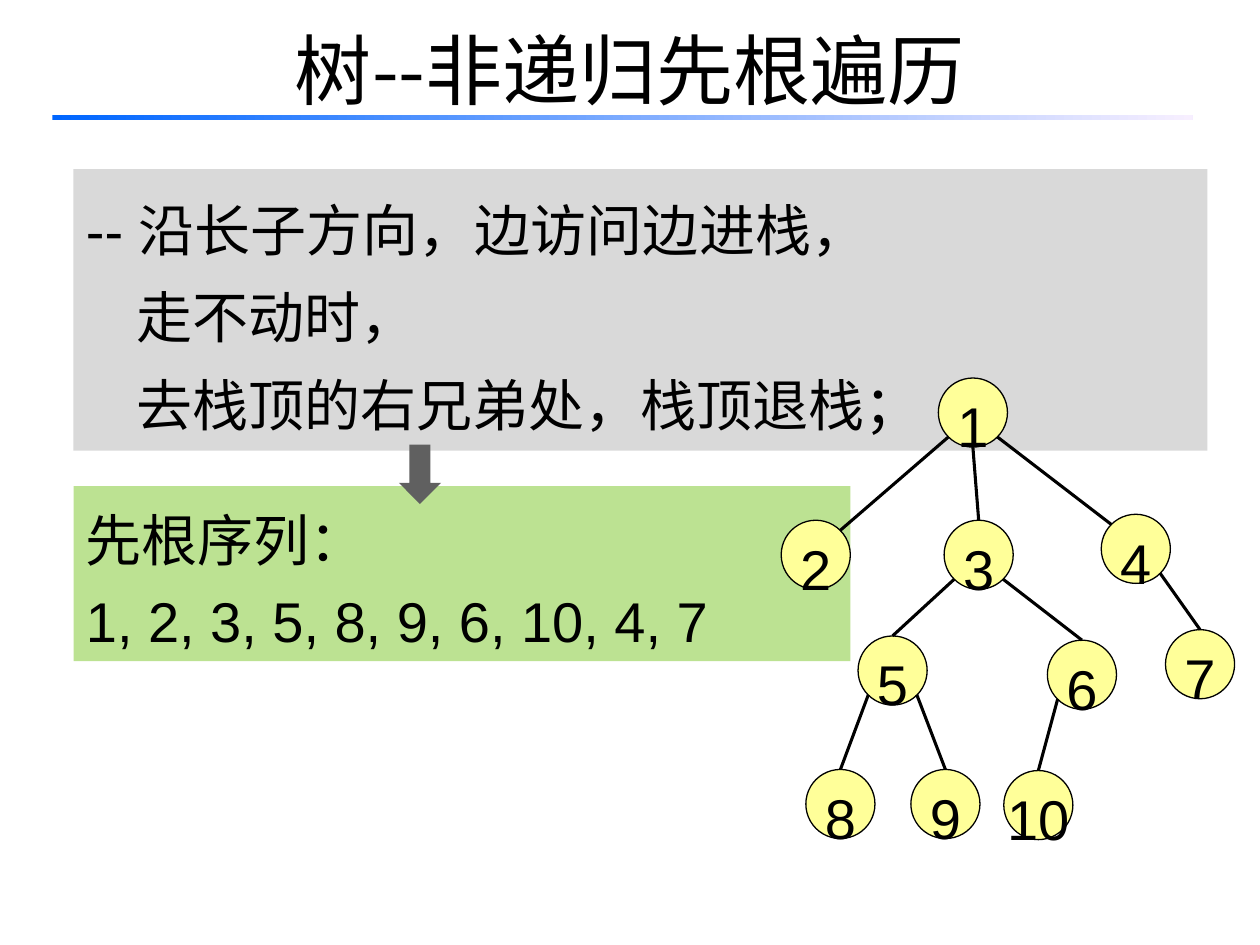
from dataclasses import dataclass

from lxml.etree import SubElement
from pptx import Presentation
from pptx.dml.color import RGBColor
from pptx.enum.shapes import MSO_CONNECTOR, MSO_SHAPE
from pptx.enum.text import MSO_ANCHOR, MSO_AUTO_SIZE, PP_ALIGN
from pptx.oxml.ns import qn
from pptx.util import Pt


@dataclass(frozen=True)
class Theme:
    """Colours, fonts and type sizes."""
    ink: str = "000000"
    gray: str = "D9D9D9"
    green: str = "BCE292"
    arrow: str = "606060"
    node: str = "FFFF99"
    blue: str = "0066FF"
    pale: str = "F7EFFF"
    latin: str = "Arial"
    asian: str = "Noto Sans CJK SC"
    head: int = 44
    body: int = 32


LOOK = Theme()
SIDE = 39.5
NODES = {
    "1": (536.2, 216), "2": (446.4, 297.3), "3": (539.5, 297.3),
    "4": (629.3, 293.9), "5": (490.3, 363.4), "6": (598.5, 365.8),
    "7": (666, 359.8), "8": (460.5, 439.7), "9": (520.5, 439.7),
    "10": (573.6, 440.3),
}
PORTS = {"T": (0.5, 0), "B": (0.5, 1), "TL": (0.15, 0.15),
         "TR": (0.85, 0.15), "BL": (0.15, 0.85), "BR": (0.85, 0.85)}
EDGES = [
    ("1", "BL", "2", "TR"), ("1", "B", "3", "T"), ("1", "BR", "4", "TL"),
    ("3", "BL", "5", "T"), ("3", "BR", "6", "T"), ("4", "BR", "7", "T"),
    ("5", "BL", "8", "T"), ("5", "BR", "9", "T"), ("6", "BL", "10", "T"),
]


def tint(text):
    """Turn a hex string into a colour."""
    return RGBColor.from_string(text)


def points(*sizes):
    """Turn numbers into point lengths."""
    return [Pt(size) for size in sizes]


def apply(item, form):
    """Set each attribute in a dict of format values."""
    for key, value in form.items():
        setattr(item, key, value)


def write(shape, lines, size=LOOK.body, font=LOOK.latin, inset=0,
          frame=None, form=None):
    """Fill a shape with lines, indenting all after the first."""
    box = shape.text_frame
    apply(box, {"word_wrap": True, "vertical_anchor": MSO_ANCHOR.TOP,
                **(frame or {})})
    for row, line in enumerate(lines):
        para = box.paragraphs[0] if row == 0 else box.add_paragraph()
        apply(para, {"alignment": PP_ALIGN.LEFT, **(form or {})})
        if row and inset:
            para._p.get_or_add_pPr().set("marL", str(Pt(inset)))
        run = para.add_run()
        run.text = line
        apply(run.font, {"size": Pt(size), "name": font})
        run.font.color.rgb = tint(LOOK.ink)
        east = SubElement(run._r.get_or_add_rPr(), qn("a:ea"))
        east.set("typeface", LOOK.asian)


def block(slide, kind, place, fill):
    """Add a plain filled shape with no outline."""
    shape = slide.shapes.add_shape(kind, *points(*place))
    shape.shadow.inherit = False
    shape.fill.solid()
    shape.fill.fore_color.rgb = tint(fill)
    shape.line.fill.background()
    return shape


def title(slide, text):
    """Place and format the title."""
    shape = slide.shapes.title
    left, top, width, height = points(36, -5.8, 648, 90)
    apply(shape, {"left": left, "top": top, "width": width, "height": height})
    write(shape, [text], LOOK.head, LOOK.asian,
          frame={"vertical_anchor": MSO_ANCHOR.MIDDLE,
                 "auto_size": MSO_AUTO_SIZE.NONE},
          form={"alignment": PP_ALIGN.CENTER})


def rule(slide):
    """Draw the fading bar under the title."""
    bar = block(slide, MSO_SHAPE.RECTANGLE, (30, 65.6, 651.6, 3), LOOK.blue)
    bar.fill.gradient()
    bar.fill.gradient_angle = 0
    for stop, shade in zip(bar.fill.gradient_stops, (LOOK.blue, LOOK.pale)):
        stop.color.rgb = tint(shade)


def node(slide, name):
    """Draw one numbered tree node."""
    shape = block(slide, MSO_SHAPE.OVAL, (*NODES[name], SIDE, SIDE), LOOK.node)
    shape.line.color.rgb = tint(LOOK.ink)
    shape.line.width = Pt(0.75)
    write(shape, [name],
          frame={"word_wrap": False, "vertical_anchor": MSO_ANCHOR.MIDDLE,
                 "margin_top": Pt(8.8)},
          form={"alignment": PP_ALIGN.CENTER, "line_spacing": 1.25})


def port(name, side):
    """Find a point on the rim of a node."""
    return [base + SIDE * part for base, part in zip(NODES[name], PORTS[side])]


def edge(slide, start, out, end, into):
    """Join two nodes with a line."""
    line = slide.shapes.add_connector(
        MSO_CONNECTOR.STRAIGHT, *points(*port(start, out), *port(end, into)))
    line.line.color.rgb = tint(LOOK.ink)
    line.line.width = Pt(1.75)
    SubElement(line._element.spPr, qn("a:effectLst"))


def main():
    """Build and save the slide."""
    deck = Presentation()
    apply(deck, {"slide_width": Pt(720), "slide_height": Pt(540)})
    slide = deck.slides.add_slide(deck.slide_layouts[5])

    result = block(slide, MSO_SHAPE.RECTANGLE, (42, 277.8, 444, 100),
                   LOOK.green)
    write(result, ["先根序列："], form={"line_spacing": 1.2})
    title(slide, "树--非递归先根遍历")
    rule(slide)
    steps = block(slide, MSO_SHAPE.RECTANGLE, (42, 96.6, 648, 161), LOOK.gray)
    write(steps, ["-- 沿长子方向，边访问边进栈，", "走不动时，",
                  "去栈顶的右兄弟处，栈顶退栈；"],
          inset=29, form={"line_spacing": 1.3})
    order = slide.shapes.add_textbox(*points(42, 324, 402, 50))
    write(order, ["1, 2, 3, 5, 8, 9, 6, 10, 4, 7"],
          form={"line_spacing": 1.2})
    block(slide, MSO_SHAPE.DOWN_ARROW, (228, 254, 24, 34), LOOK.arrow)

    for name in NODES:
        node(slide, name)
    for link in EDGES:
        edge(slide, *link)
    deck.save("out.pptx")


if __name__ == "__main__":
    main()
